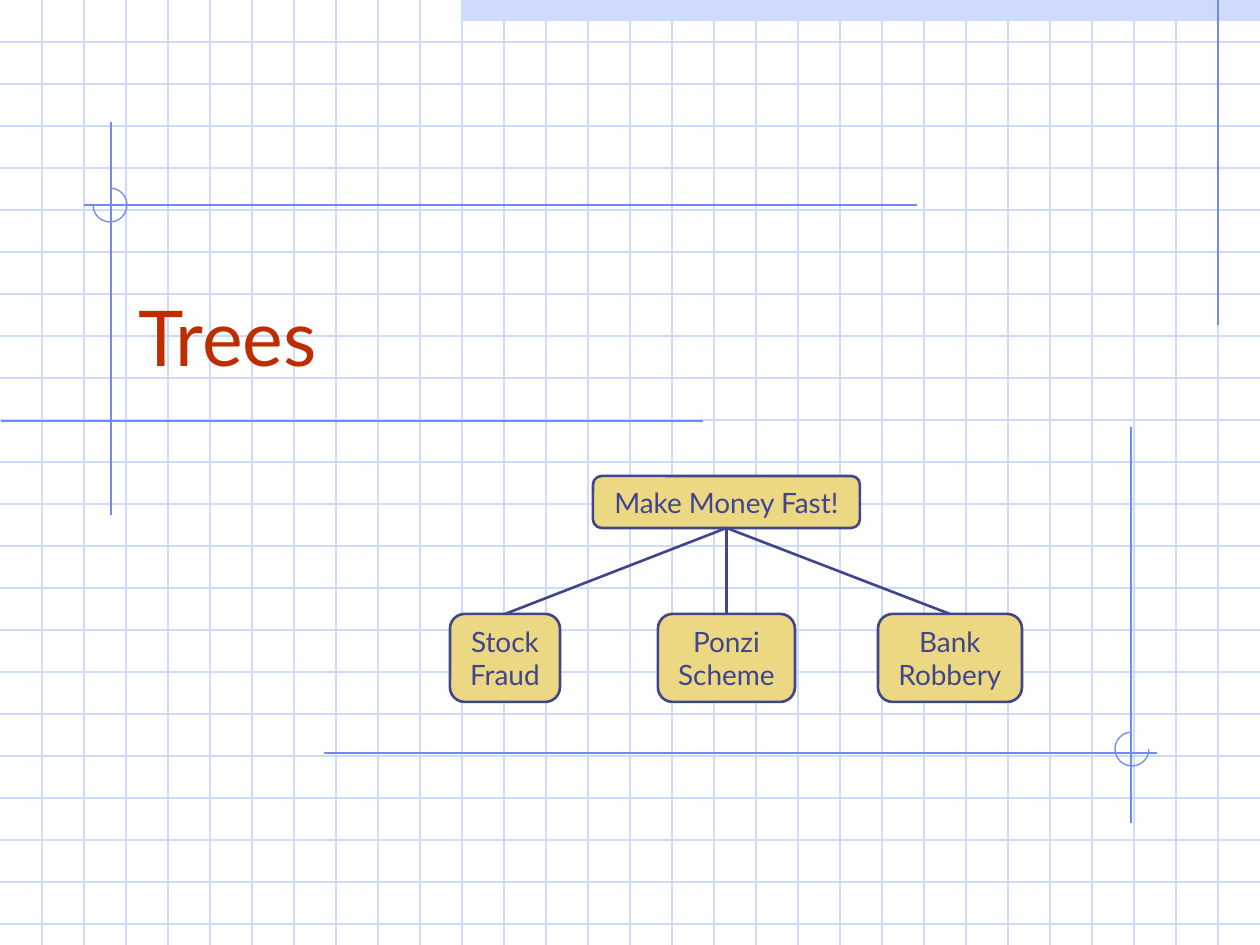
"""Build the "Trees" title slide with a small tree diagram on a grid."""
import pptx
import pptx.util
from pptx.dml.color import RGBColor
from pptx.enum.shapes import MSO_CONNECTOR, MSO_SHAPE
from pptx.enum.text import MSO_ANCHOR, MSO_AUTO_SIZE, PP_ALIGN
from pptx.oxml.ns import qn
import lxml.etree

PALE_BLUE = RGBColor(0xCF, 0xDB, 0xFD)
BLUE = RGBColor(0x6F, 0x89, 0xF7)
RED = RGBColor(0xBE, 0x2D, 0x00)
SAND = RGBColor(0xEC, 0xD8, 0x82)
INDIGO = RGBColor(0x40, 0x45, 0x8C)
WIDTH, HEIGHT, GRID = 1260, 945, 42


def px(length):
    return pptx.util.Emu(round(length * 914400 / 126))


def add_line(x1, y1, x2, y2, color, weight=0.75):
    line = slide.shapes.add_connector(
        MSO_CONNECTOR.STRAIGHT, px(x1), px(y1), px(x2), px(y2))
    line.line.color.rgb = color
    line.line.width = pptx.util.Pt(weight)
    lxml.etree.SubElement(line._element.spPr, qn("a:effectLst"))
    return line


deck = pptx.Presentation()
deck.slide_width, deck.slide_height = px(WIDTH), px(HEIGHT)
slide = deck.slides.add_slide(deck.slide_layouts[5])

top_band = slide.shapes.add_shape(MSO_SHAPE.RECTANGLE, px(462), 0, px(798), px(21))
top_band.shadow.inherit = False
top_band.fill.solid()
top_band.fill.fore_color.rgb = PALE_BLUE
top_band.line.fill.background()

for y in range(GRID, HEIGHT, GRID):
    add_line(0, y, WIDTH, y, PALE_BLUE)
for x in range(GRID, WIDTH, GRID):
    add_line(x, 0, x, HEIGHT, PALE_BLUE)

for ends in [(1218, 0, 1218, 325), (111, 122, 111, 515), (703, 421, 1, 421),
             (917, 205, 84, 205), (324, 753, 1157, 753), (1131, 427, 1131, 823)]:
    add_line(*ends, BLUE)

for x, y, start, end in [(93, 188, 270, 180), (1115, 732, 0, 270)]:
    corner_arc = slide.shapes.add_shape(MSO_SHAPE.ARC, px(x), px(y), px(34), px(34))
    corner_arc.shadow.inherit = False
    corner_arc.adjustments[0] = start * 0.6
    corner_arc.adjustments[1] = end * 0.6
    corner_arc.fill.background()
    corner_arc.line.color.rgb = BLUE
    corner_arc.line.width = pptx.util.Pt(0.75)

heading = slide.shapes.title
slide.shapes._spTree.append(heading._element)
heading.left, heading.top, heading.width, heading.height = px(126), px(231), px(1071), px(157)
heading.text_frame.vertical_anchor = MSO_ANCHOR.BOTTOM
heading.text_frame.auto_size = MSO_AUTO_SIZE.NONE
heading_line = heading.text_frame.paragraphs[0]
heading_line.alignment = PP_ALIGN.LEFT
heading_run = heading_line.add_run()
heading_run.text = "Trees"
heading_run.font.name = "Lato"
heading_run.font.size = pptx.util.Pt(44)
heading_run.font.color.rgb = RED

nodes = []
for words, x, y, width, height in [(["Make Money Fast!"], 593, 476, 267, 52),
                                   (["Stock", "Fraud"], 450, 614, 110, 88),
                                   (["Ponzi", "Scheme"], 658, 614, 137, 88),
                                   (["Bank", "Robbery"], 878, 614, 144, 88)]:
    node = slide.shapes.add_shape(
        MSO_SHAPE.ROUNDED_RECTANGLE, px(x), px(y), px(width), px(height))
    node.shadow.inherit = False
    node.fill.solid()
    node.fill.fore_color.rgb = SAND
    node.line.color.rgb = INDIGO
    node.line.width = pptx.util.Pt(1.5)
    node.text_frame.word_wrap = False
    node.text_frame.auto_size = MSO_AUTO_SIZE.SHAPE_TO_FIT_TEXT
    node.text_frame.vertical_anchor = MSO_ANCHOR.MIDDLE
    label = node.text_frame.paragraphs[0]
    label.alignment = PP_ALIGN.CENTER
    for index, word in enumerate(words):
        if index:
            label.add_line_break()
        run = label.add_run()
        run.text = word
        run.font.name = "Lato"
        run.font.size = pptx.util.Pt(16)
        run.font.color.rgb = INDIGO
    nodes.append(node)

root, *children = nodes
for child in children:
    branch = add_line(0, 0, 0, 0, INDIGO, 1.5)
    branch.begin_connect(root, 2)
    branch.end_connect(child, 0)

deck.save("out.pptx")
